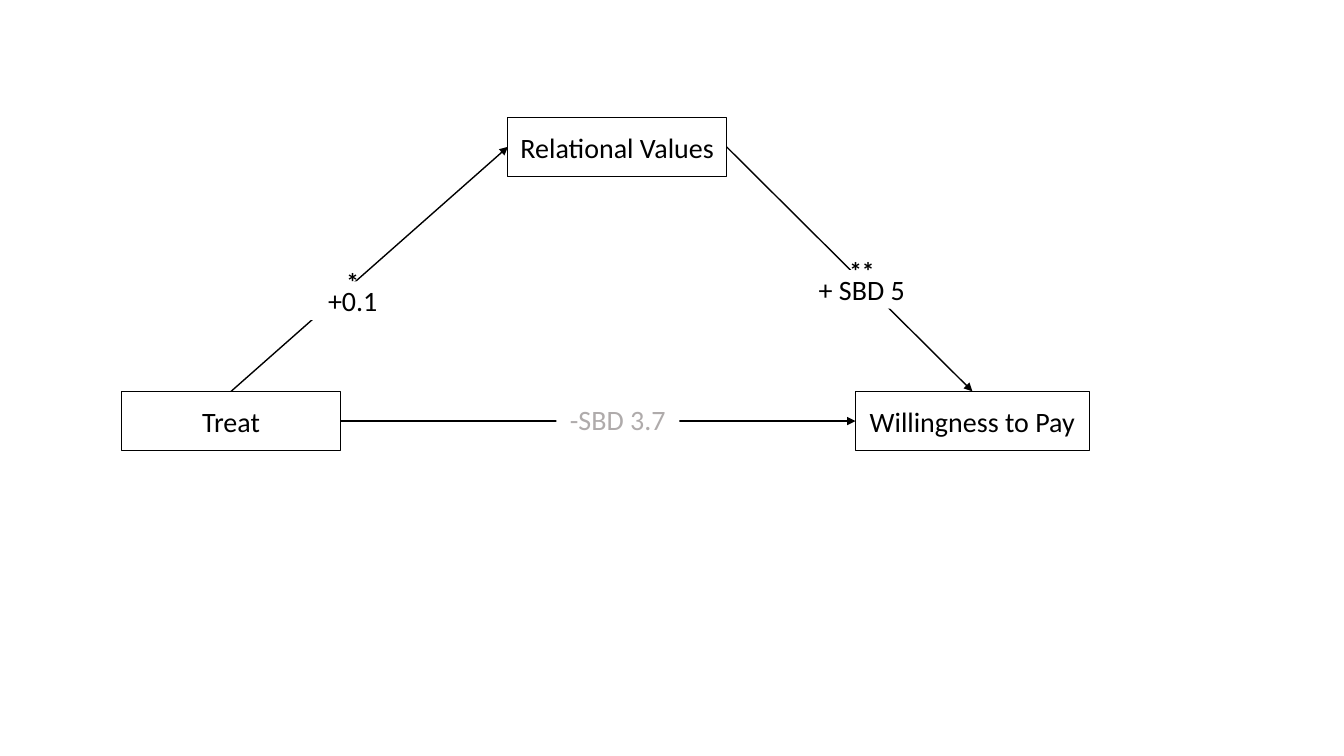
from lxml import etree
from pptx import Presentation
from pptx.dml.color import RGBColor
from pptx.enum import shapes, text
from pptx.oxml import ns
from pptx.util import Cm, Pt

# Name: (text, left, top, width) in cm
BOXES = {
    "treat": ("Treat", 3.07, 9.86, 5.51),
    "values": ("Relational Values", 12.8, 2.95, 5.51),
    "pay": ("Willingness to Pay", 21.56, 9.86, 5.89),
}
# Start box, side, end box, side
TOP, LEFT, RIGHT = 0, 1, 3
ARROWS = [
    ("treat", TOP, "values", LEFT),
    ("values", RIGHT, "pay", TOP),
    ("treat", RIGHT, "pay", LEFT),
]
# Effect, stars, colour name, left, top, width in cm
EFFECTS = [
    ("+0.1", "*", "ink", 7.01, 7.09, 3.76),
    ("+ SBD 5", "**", "ink", 19.84, 6.81, 3.76),
    ("-SBD 3.7", "", "muted", 14.02, 10.08, 3.1),
]
BOX_HEIGHT, LABEL_HEIGHT, STAR_RISE = 1.5, 0.97, 0.49

THEME = {
    "font": "Calibri",
    "ink": RGBColor(0x00, 0x00, 0x00),
    "muted": RGBColor(0xAF, 0xAB, 0xAB),
    "paper": RGBColor(0xFF, 0xFF, 0xFF),
    "label_size": Pt(20),
    "star_size": Pt(18),
    "box_line": Pt(0.75),
    "arrow_line": Pt(1),
}


def write(sp, words, size="label_size", color="ink", bold=False):
    """Put one centred run of text in a shape."""
    tf = sp.text_frame
    tf.word_wrap = True
    tf.vertical_anchor = text.MSO_ANCHOR.MIDDLE
    tf.margin_left = tf.margin_right = tf.margin_top = tf.margin_bottom = 0
    p = tf.paragraphs[0]
    p.alignment = text.PP_ALIGN.CENTER
    r = p.add_run()
    r.text = words
    r.font.name = THEME["font"]
    r.font.size = THEME[size]
    r.font.bold = bold
    r.font.color.rgb = THEME[color]


def add_rect(s, words, left, top, width, height, color="ink", boxed=False):
    """Add an outlined box, or a borderless label on the paper colour."""
    sp = s.shapes.add_shape(shapes.MSO_SHAPE.RECTANGLE,
                            Cm(left), Cm(top), Cm(width), Cm(height))
    sp.shadow.inherit = False
    if boxed:
        sp.fill.background()
        sp.line.color.rgb = THEME["ink"]
        sp.line.width = THEME["box_line"]
    else:
        sp.fill.solid()
        sp.fill.fore_color.rgb = THEME["paper"]
        sp.line.fill.background()
    write(sp, words, color=color)
    return sp


def add_arrow(s, start, start_side, end, end_side):
    """Join two boxes with a straight arrow."""
    sp = s.shapes.add_connector(shapes.MSO_CONNECTOR.STRAIGHT, 0, 0, 0, 0)
    sp.begin_connect(start, start_side)
    sp.end_connect(end, end_side)
    sp.line.color.rgb = THEME["ink"]
    sp.line.width = THEME["arrow_line"]
    etree.SubElement(sp.line._get_or_add_ln(), ns.qn("a:tailEnd"), type="triangle")
    etree.SubElement(sp._element.spPr, ns.qn("a:effectLst"))


def add_stars(s, stars, left, top, width):
    """Add the significance stars above an effect."""
    sp = s.shapes.add_textbox(Cm(left), Cm(top), Cm(width), Cm(LABEL_HEIGHT))
    write(sp, stars, size="star_size", bold=True)


def build():
    """Draw the mediation diagram and save it."""
    prs = Presentation()
    prs.slide_width, prs.slide_height = Cm(33.87), Cm(19.05)
    s = prs.slides.add_slide(prs.slide_layouts[6])
    boxes = {name: add_rect(s, *box, BOX_HEIGHT, boxed=True)
             for name, box in BOXES.items()}
    for start, start_side, end, end_side in ARROWS:
        add_arrow(s, boxes[start], start_side, boxes[end], end_side)
    for effect, stars, color, left, top, width in EFFECTS:
        add_rect(s, effect, left, top, width, LABEL_HEIGHT, color)
        if stars:
            add_stars(s, stars, left, top - STAR_RISE, width)
    prs.save("out.pptx")


build()
